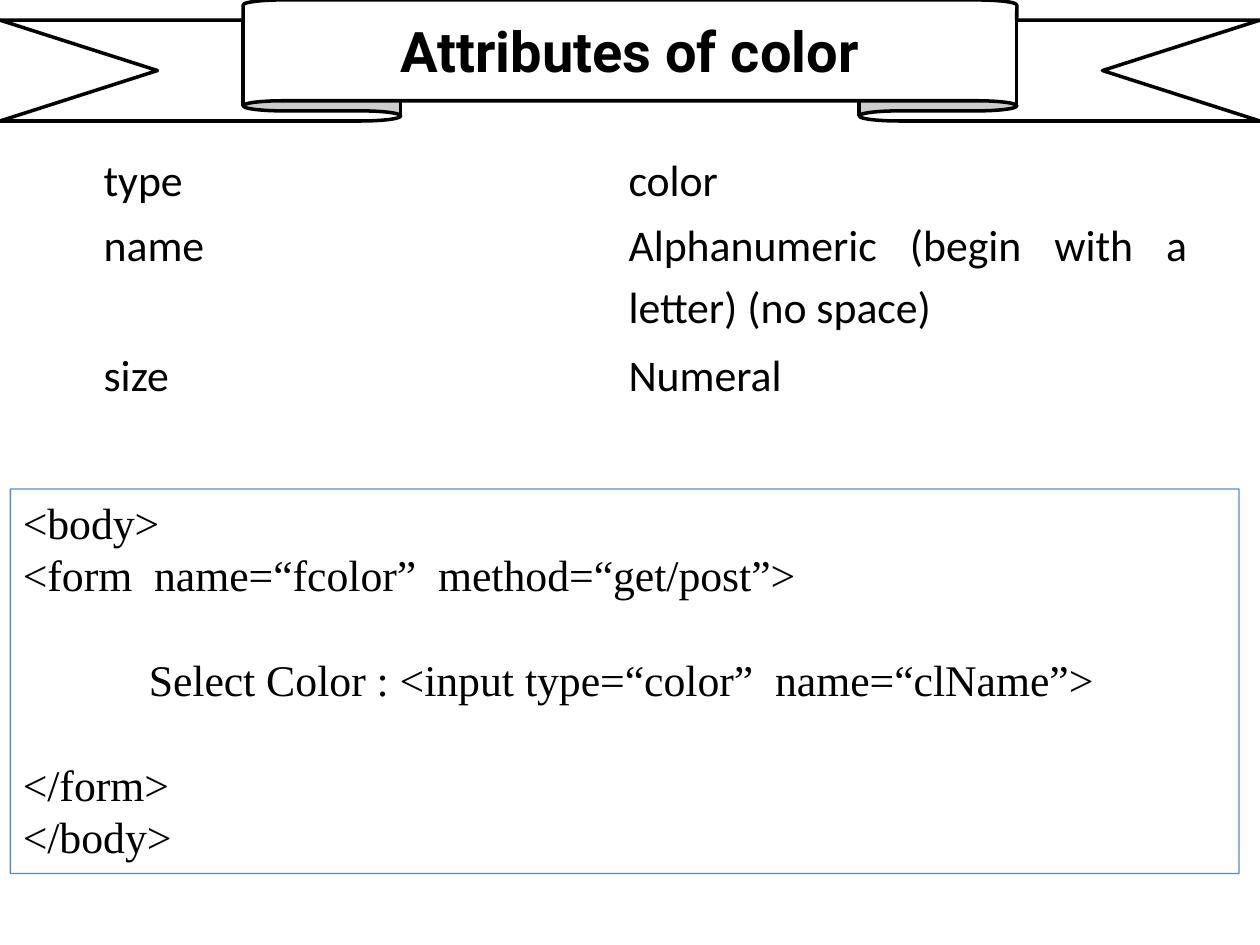
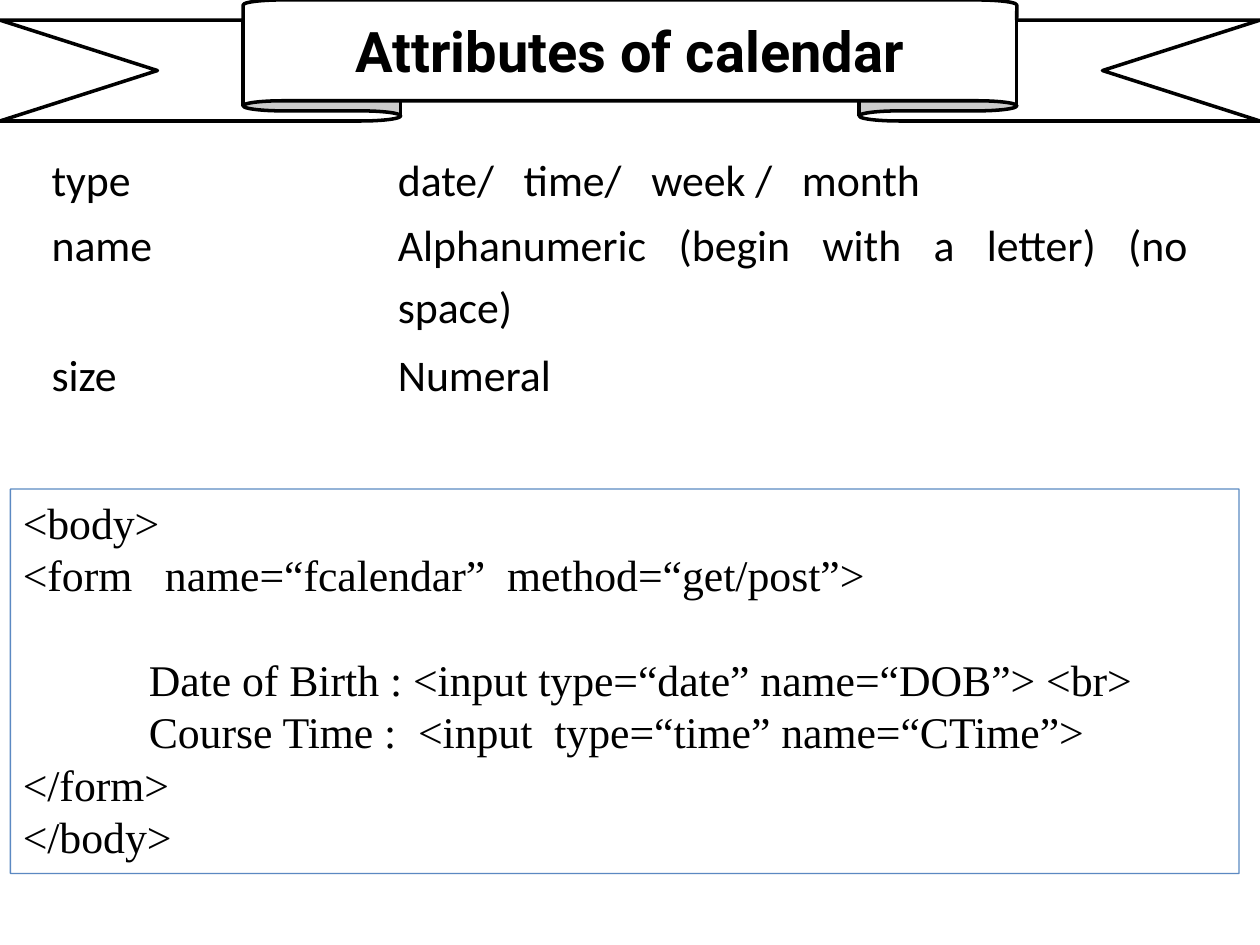
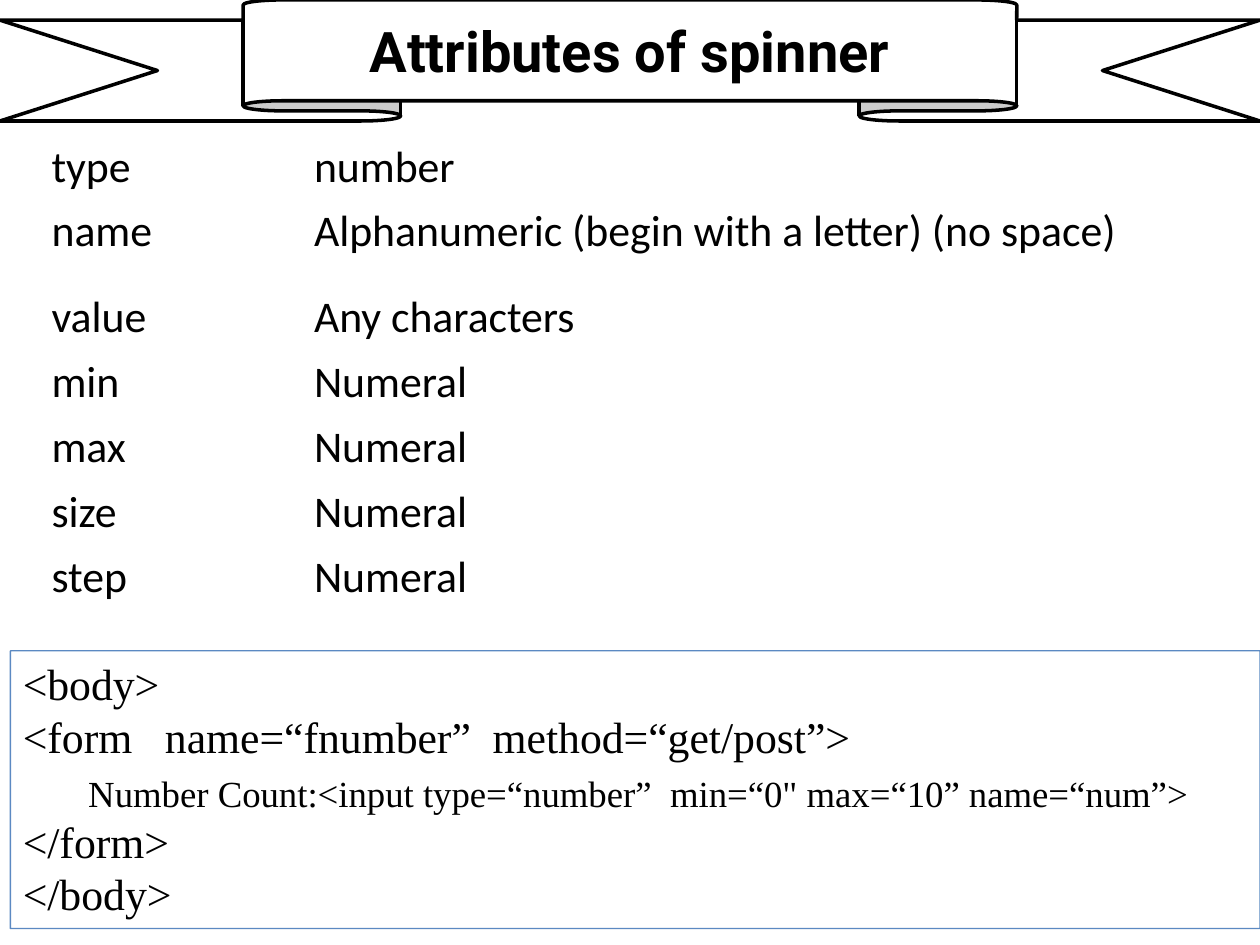
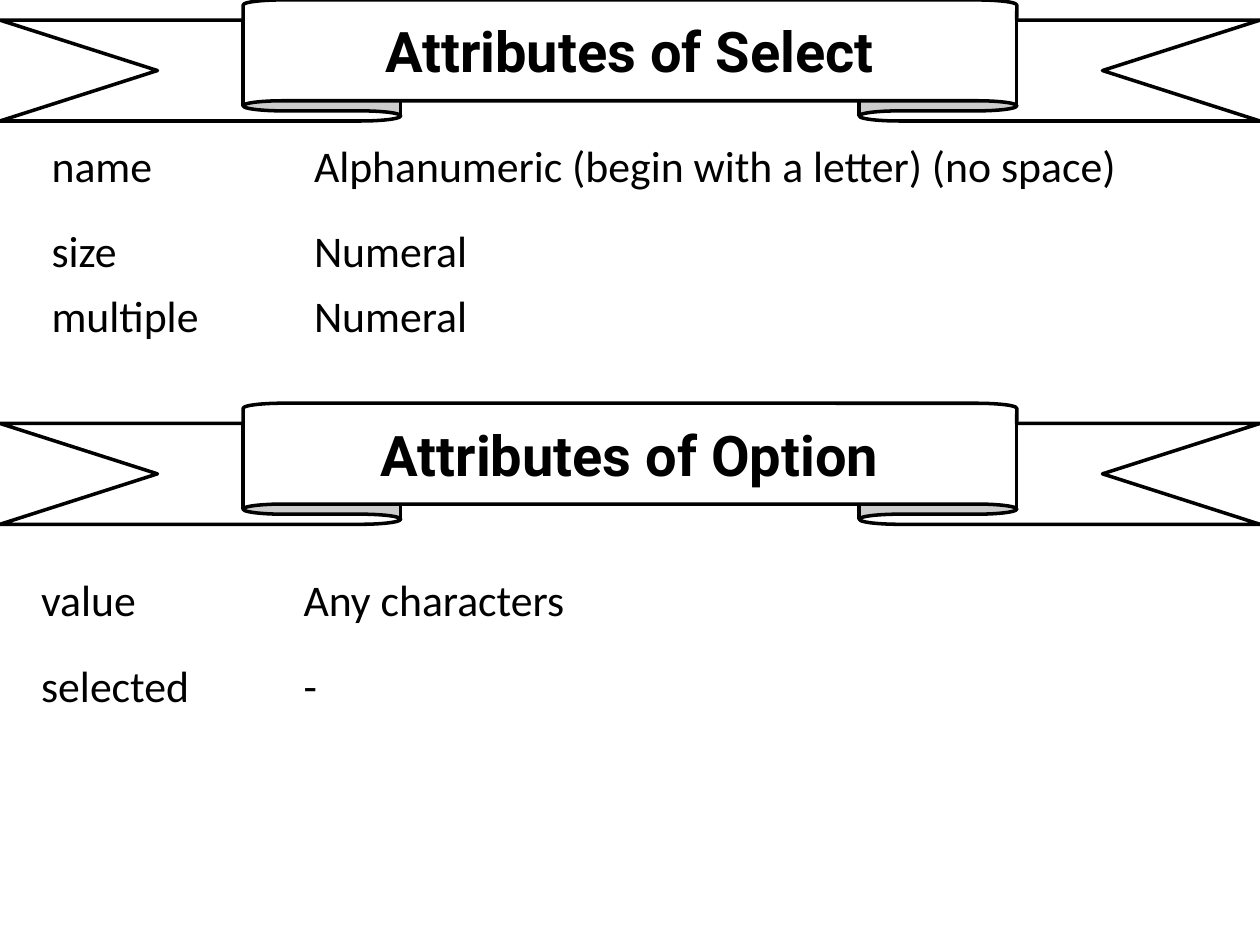
"""Four slides on the attributes of HTML form controls."""
from dataclasses import dataclass
from typing import Optional

import pptx
import pptx.dml.color
import pptx.enum.shapes
import pptx.enum.text
import pptx.oxml.ns
import pptx.util
from lxml import etree
from pptx.util import Cm

BLACK, WHITE, BLUE = "000000", "FFFFFF", "4B7EBC"
HEADING_FONT, TABLE_FONT, CODE_FONT = "Roboto", "Calibri", "Times New Roman"
BODY_SIZE, CODE_LEADING = 25, 30
SLIDE_WIDTH, SLIDE_HEIGHT = 25.4, 19.05
BANNER_HEIGHT, BANNER_FOLD, BANNER_FRONT = 2.44, 0.167, 0.614
ROW, GAP_ROW, TWO_LINE_ROW = 1.31, 1.73, 2.62
PLAIN_TABLE = "{2D5ABB26-0587-4C30-8999-92F81FD0307C}"
NAME_RULE = "Alphanumeric (begin with a letter) (no space)"
ALIGN = pptx.enum.text.PP_ALIGN
MIDDLE = pptx.enum.text.MSO_ANCHOR.MIDDLE
TOP = pptx.enum.text.MSO_ANCHOR.TOP
PRESET = pptx.enum.shapes.MSO_SHAPE


@dataclass
class Attribute:
    """One table row: an attribute and the values it takes."""
    name: str
    values: str
    height: float = ROW


@dataclass
class Section:
    """A heading banner with its table of attributes, in centimetres."""
    heading: str
    left: float
    top: float
    columns: tuple[float, float]
    attributes: list[Attribute]
    banner_top: float = 0


@dataclass
class CodeLine:
    """One line of markup; gap counts the empty lines above it."""
    text: str
    indent: float = 0
    gap: int = 0
    size: float = BODY_SIZE


@dataclass
class Listing:
    """A framed block of markup."""
    top: float
    width: float
    height: float
    lines: list[CodeLine]


@dataclass
class Page:
    """Everything on one slide."""
    sections: list[Section]
    listing: Optional[Listing] = None


def colour(value: str) -> pptx.dml.color.RGBColor:
    """Turn a hex string into a colour."""
    return pptx.dml.color.RGBColor.from_string(value)


def write_text(paragraph, text: str, *, font: str, size: float = BODY_SIZE,
               bold: bool = False, align=ALIGN.LEFT, spacing=1.0,
               before: float = 0, indent: float = 0) -> None:
    """Write one formatted run into a paragraph."""
    run = paragraph.add_run()
    run.text = text
    run.font.name, run.font.size, run.font.bold = font, pptx.util.Pt(size), bold
    run.font.color.rgb = colour(BLACK)
    paragraph.alignment, paragraph.line_spacing = align, spacing
    paragraph.space_before = pptx.util.Pt(before)
    if indent:
        properties = paragraph._p.get_or_add_pPr()
        properties.set("marL", str(int(Cm(indent))))
        properties.set("indent", "0")


def add_outlined(slide, preset, left: float, top: float, width: float,
                 height: float, line: str, weight: float):
    """Add a preset shape with an outline and no shadow."""
    shape = slide.shapes.add_shape(preset, Cm(left), Cm(top), Cm(width), Cm(height))
    shape.shadow.inherit = False
    shape.line.color.rgb = colour(line)
    shape.line.width = pptx.util.Pt(weight)
    return shape


def draw_banner(slide, section: Section, is_title: bool) -> None:
    """Draw a ribbon whose front holds the heading."""
    ribbon = add_outlined(slide, PRESET.UP_RIBBON, 0, section.banner_top,
                          SLIDE_WIDTH, BANNER_HEIGHT, BLACK, 2)
    ribbon.fill.solid()
    ribbon.fill.fore_color.rgb = colour(WHITE)
    ribbon.adjustments[0], ribbon.adjustments[1] = BANNER_FOLD, BANNER_FRONT
    holder = ribbon
    if is_title:
        holder = slide.shapes.title
        front_width = SLIDE_WIDTH * BANNER_FRONT
        holder.left, holder.top = Cm((SLIDE_WIDTH - front_width) / 2), Cm(section.banner_top)
        holder.width, holder.height = Cm(front_width), Cm(BANNER_HEIGHT * (1 - BANNER_FOLD))
        holder.element.addprevious(ribbon.element)
    frame = holder.text_frame
    frame.word_wrap, frame.vertical_anchor = True, MIDDLE
    frame.auto_size = pptx.enum.text.MSO_AUTO_SIZE.NONE
    write_text(frame.paragraphs[0], section.heading, font=HEADING_FONT, size=32,
               bold=True, align=ALIGN.CENTER)


def draw_attributes(slide, section: Section) -> None:
    """Draw the unruled table of attributes."""
    rows = section.attributes
    table = slide.shapes.add_table(
        len(rows), 2, Cm(section.left), Cm(section.top), Cm(sum(section.columns)),
        Cm(sum(row.height for row in rows))).table
    table.first_row = table.horz_banding = False
    table._tbl.tblPr.find(pptx.oxml.ns.qn("a:tableStyleId")).text = PLAIN_TABLE
    for column, width in zip(table.columns, section.columns):
        column.width = Cm(width)
    for index, attribute in enumerate(rows):
        table.rows[index].height = Cm(attribute.height)
        for cell, text in zip(table.rows[index].cells, (attribute.name, attribute.values)):
            cell.fill.background()
            cell.margin_left = cell.margin_right = Cm(0.19)
            cell.margin_top = cell.margin_bottom = 0
            write_text(cell.text_frame.paragraphs[0], text, font=TABLE_FONT,
                       align=ALIGN.JUSTIFY, spacing=1.15)


def draw_listing(slide, listing: Listing) -> None:
    """Draw the framed markup, its outline slightly transparent."""
    box = add_outlined(slide, PRESET.RECTANGLE, 0.21, listing.top, listing.width,
                       listing.height, BLUE, 0.75)
    box.fill.background()
    outline = box.line._ln.find(".//" + pptx.oxml.ns.qn("a:srgbClr"))
    etree.SubElement(outline, pptx.oxml.ns.qn("a:alpha"), val="91000")
    frame = box.text_frame
    frame.word_wrap, frame.vertical_anchor = True, TOP
    for index, line in enumerate(listing.lines):
        paragraph = frame.add_paragraph() if index else frame.paragraphs[0]
        write_text(paragraph, line.text, font=CODE_FONT, size=line.size,
                   spacing=pptx.util.Pt(CODE_LEADING),
                   before=line.gap * CODE_LEADING, indent=line.indent)


def form_lines(form_tag: str, fields: list[CodeLine], end_gap: int = 0) -> list[CodeLine]:
    """Wrap the fields of a form in its body and form tags."""
    return [CodeLine("<body>"), CodeLine(form_tag), *fields,
            CodeLine("</form>", gap=end_gap), CodeLine("</body>")]


def basic_attributes(type_values: str) -> list[Attribute]:
    """Give the type, name and size rows of a simple control."""
    return [Attribute("type", type_values), Attribute("name", NAME_RULE, TWO_LINE_ROW),
            Attribute("size", "Numeral")]


NARROW_COLUMNS = (5.29, 17.99)
PAGES = [
    Page([Section("Attributes of color", 1.9, 2.97, (10.58, 11.64),
                  basic_attributes("color"))],
         Listing(9.86, 24.77, 7.75, form_lines(
             "<form  name=“fcolor”  method=“get/post”>",
             [CodeLine("Select Color : <input type=“color”  name=“clName”>", 2.54, 1)],
             end_gap=1))),
    Page([Section("Attributes of calendar", 0.85, 2.97, (6.98, 16.3),
                  basic_attributes("date/   time/   week /   month"))],
         Listing(9.86, 24.77, 7.75, form_lines(
             "<form   name=“fcalendar”  method=“get/post”>",
             [CodeLine("Date of Birth : <input type=“date” name=“DOB”> <br>", 2.54, 1),
              CodeLine("Course Time :  <input  type=“time” name=“CTime”>", 2.54)]))),
    Page([Section("Attributes of spinner", 0.85, 2.67, NARROW_COLUMNS,
                  [Attribute("type", "number"), Attribute("name", NAME_RULE, GAP_ROW),
                   Attribute("value", "Any characters"),
                   *(Attribute(name, "Numeral") for name in ("min", "max", "size", "step"))])],
         Listing(13.12, 25.19, 5.6, form_lines(
             "<form   name=“fnumber”  method=“get/post”>",
             [CodeLine("Number Count:<input type=“number”  min=“0\" max=“10” name=“num”>",
                       1.32, size=21)]))),
    Page([Section("Attributes of Select", 0.85, 2.67, NARROW_COLUMNS,
                  [Attribute("name", NAME_RULE, GAP_ROW), Attribute("size", "Numeral"),
                   Attribute("multiple", "Numeral")]),
          Section("Attributes of Option", 0.64, 11.43, NARROW_COLUMNS,
                  [Attribute("value", "Any characters", GAP_ROW), Attribute("selected", "-")],
                  banner_top=8.13)]),
]


def build() -> None:
    """Build and save the presentation."""
    deck = pptx.Presentation()
    deck.slide_width, deck.slide_height = Cm(SLIDE_WIDTH), Cm(SLIDE_HEIGHT)
    title_only = deck.slide_layouts[5]
    for page in PAGES:
        slide = deck.slides.add_slide(title_only)
        for index, section in enumerate(page.sections):
            draw_banner(slide, section, is_title=index == 0)
            draw_attributes(slide, section)
        if page.listing:
            draw_listing(slide, page.listing)
    deck.save("out.pptx")


build()
